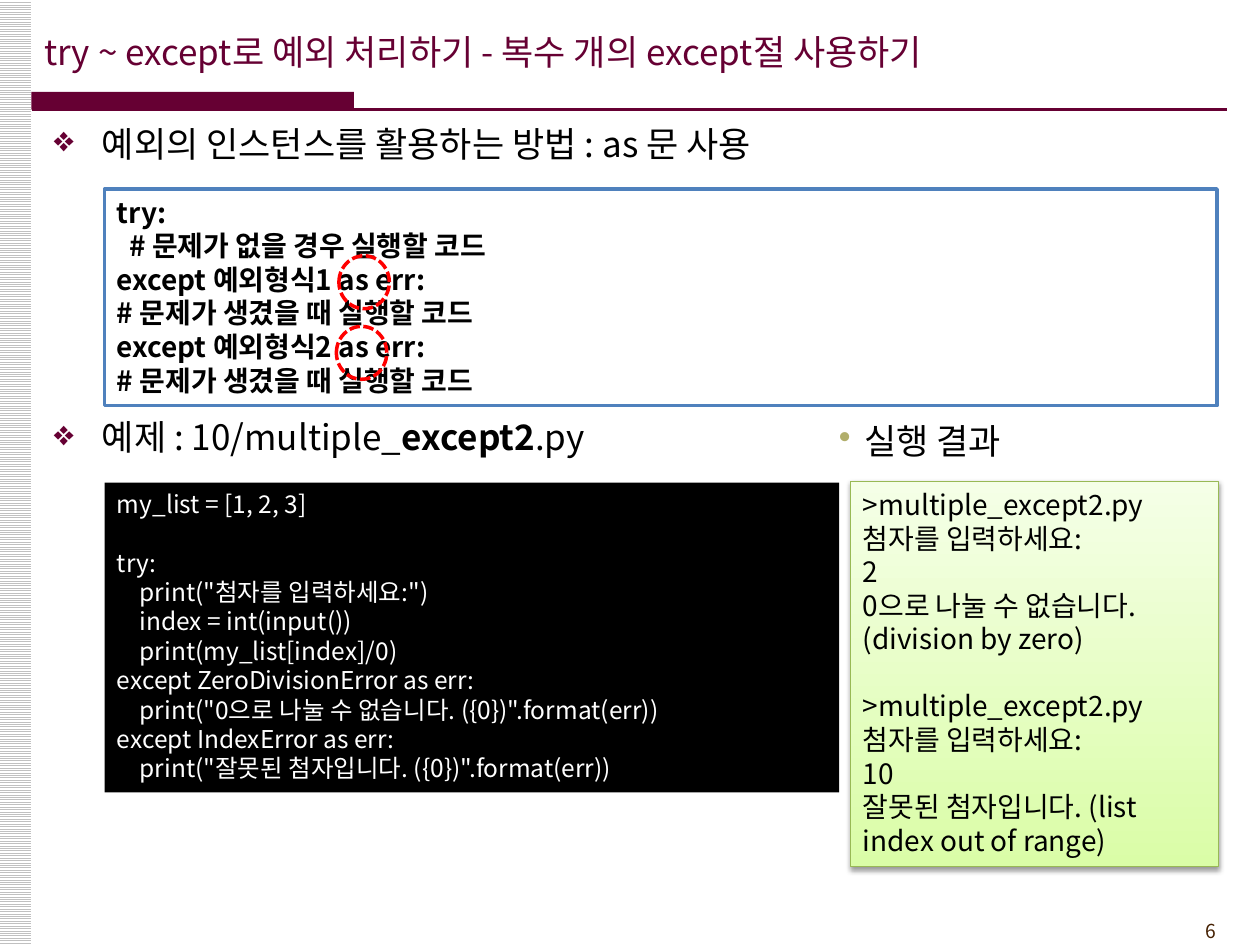
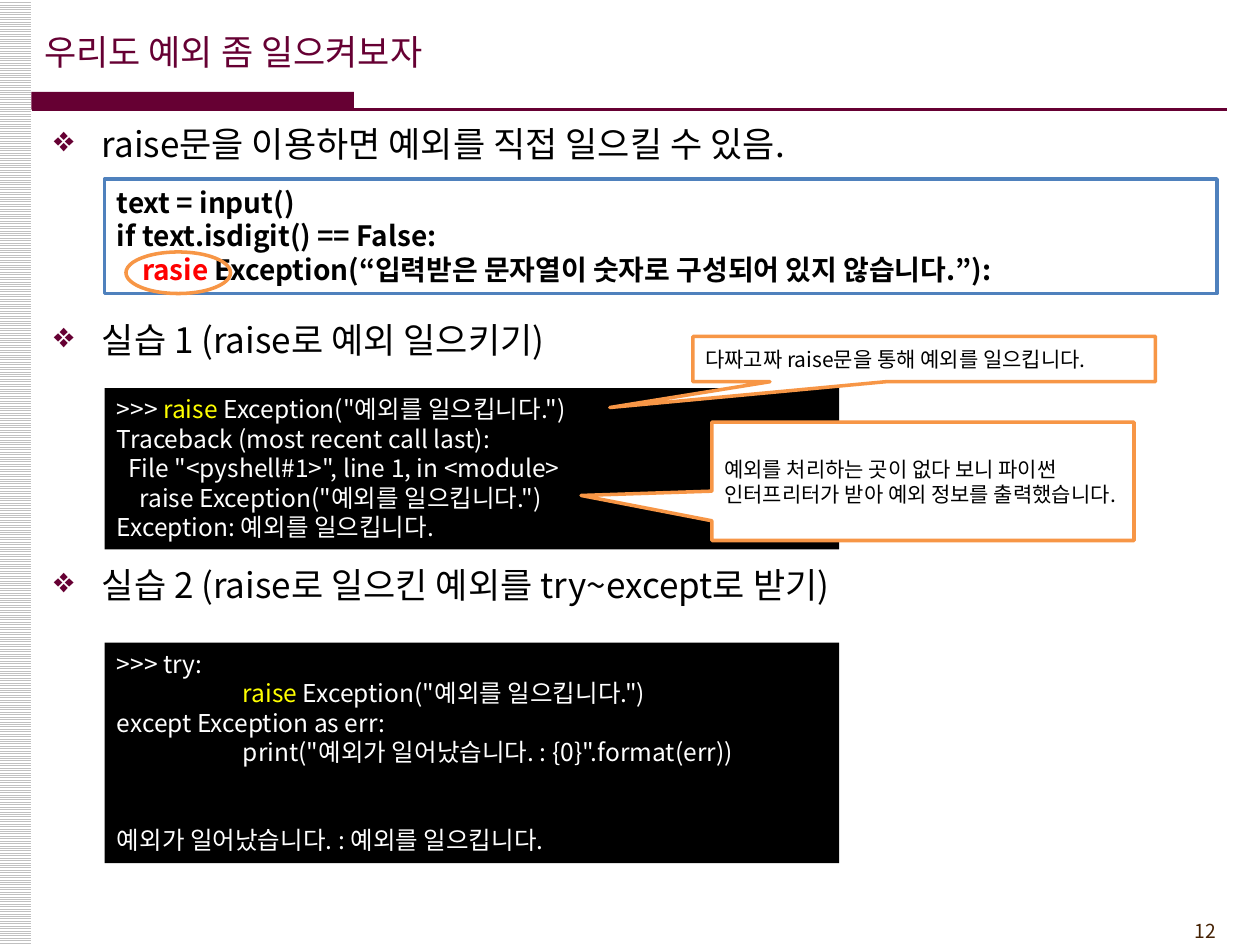
from dataclasses import dataclass
from lxml import etree
from pptx import Presentation
from pptx import util as u
from pptx.dml.color import RGBColor
from pptx.enum import dml, shapes, text
from pptx.oxml import ns


@dataclass(frozen=True)
class Theme:
    font: str = "Noto Sans CJK KR"
    accent: str = "660033"
    ink: str = "000000"
    paper: str = "FFFFFF"
    stripe: str = "C0C0C0"
    number: str = "452103"
    frame: str = "4F81BD"
    callout: str = "F79646"
    alert: str = "FF0000"
    keyword: str = "FFFF00"
    result_dark: str = "DAFDA7"
    result_light: str = "F5FFE7"
    result_edge: str = "98B955"
    result_bullet: str = "B1AE6B"
    heading_size: int = 20
    syntax_size: int = 16
    code_size: int = 14
    callout_size: int = 12
    number_size: int = 11


theme = Theme()
RECTANGLE = shapes.MSO_SHAPE.RECTANGLE
OVAL = shapes.MSO_SHAPE.OVAL
CALLOUT = shapes.MSO_SHAPE.RECTANGULAR_CALLOUT
MIDDLE = text.MSO_ANCHOR.MIDDLE


def add_box(slide, kind, at, fill=None, line=None, width=2):
    shape = slide.shapes.add_shape(kind, *map(u.Inches, at))
    shape.shadow.inherit = False
    if fill:
        shape.fill.solid()
        shape.fill.fore_color.rgb = RGBColor.from_string(fill)
    else:
        shape.fill.background()
    if line:
        shape.line.color.rgb = RGBColor.from_string(line)
        shape.line.width = u.Pt(width)
    else:
        shape.line.fill.background()
    return shape


def write(shape, lines, size, color, bold=False, anchor=text.MSO_ANCHOR.TOP,
          align=text.PP_ALIGN.LEFT, spacing=1.0, bullet=None):
    frame = shape.text_frame
    frame_format = {"word_wrap": True, "auto_size": text.MSO_AUTO_SIZE.NONE, "vertical_anchor": anchor}
    for name, value in frame_format.items():
        setattr(frame, name, value)
    for index, (indent, gap, runs) in enumerate(lines):
        paragraph = frame.add_paragraph() if index else frame.paragraphs[0]
        paragraph_format = {"alignment": align, "line_spacing": spacing,
                            "space_before": u.Pt(gap * size * 1.2)}
        for name, value in paragraph_format.items():
            setattr(paragraph, name, value)
        properties = paragraph._p.get_or_add_pPr()
        properties.set("marL", str(u.Inches(indent)))
        if bullet:
            symbol, bullet_color, hanging = bullet
            properties.set("indent", str(-u.Inches(hanging)))
            tint = etree.SubElement(properties, ns.qn("a:buClr"))
            etree.SubElement(tint, ns.qn("a:srgbClr"), val=bullet_color)
            etree.SubElement(properties, ns.qn("a:buChar"), char=symbol)
        for part in [runs] if isinstance(runs, str) else runs:
            content, changes = (part, {}) if isinstance(part, str) else part
            run = paragraph.add_run()
            run.text = content
            font_format = {"name": theme.font, "size": u.Pt(size), "bold": changes.get("bold", bold)}
            for name, value in font_format.items():
                setattr(run.font, name, value)
            run.font.color.rgb = RGBColor.from_string(changes.get("color", color))
            etree.SubElement(run._r.get_or_add_rPr(), ns.qn("a:ea"), typeface=theme.font)


presentation = Presentation()
presentation.slide_width = u.Inches(10)
presentation.slide_height = u.Inches(7.5)

pages = [
    ("try ~ except로 예외 처리하기 - 복수 개의 except절 사용하기", "6", [
        (0.92, "예외의 인스턴스를 활용하는 방법 : as 문 사용"),
        (3.25, ["예제 : 10/multiple_", ("except2", {"bold": True}), ".py"]),
    ]),
    ("우리도 예외 좀 일으켜보자", "12", [
        (0.92, "raise문을 이용하면 예외를 직접 일으킬 수 있음."),
        (2.48, "실습 1 (raise로 예외 일으키기)"),
        (4.42, "실습 2 (raise로 일으킨 예외를 try~except로 받기)"),
    ]),
]
for title_text, number, headings in pages:
    slide = presentation.slides.add_slide(presentation.slide_layouts[5])
    title = slide.shapes.title
    title_place = {"left": 0.25, "top": 0.09, "width": 8.27, "height": 0.63}
    for name, value in title_place.items():
        setattr(title, name, u.Inches(value))
    write(title, [(0, 0, title_text)], theme.heading_size, theme.accent, anchor=MIDDLE)

    stripes = add_box(slide, RECTANGLE, (-0.01, 0, 0.26, 7.5))
    stripes.fill.patterned()
    stripes.fill.pattern = dml.MSO_PATTERN.LIGHT_HORIZONTAL
    stripes.fill.fore_color.rgb = RGBColor.from_string(theme.stripe)
    stripes.fill.back_color.rgb = RGBColor.from_string(theme.paper)

    add_box(slide, RECTANGLE, (0.25, 0.73, 2.56, 0.14), theme.accent)
    rule = slide.shapes.add_connector(shapes.MSO_CONNECTOR.STRAIGHT,
                                      *map(u.Inches, (0.25, 0.87, 9.74, 0.87)))
    rule.line.color.rgb = RGBColor.from_string(theme.accent)
    rule.line.width = u.Pt(1.5)
    etree.SubElement(rule._element.spPr, ns.qn("a:effectLst"))

    number_box = slide.shapes.add_textbox(*map(u.Inches, (8.92, 7.25, 0.83, 0.29)))
    write(number_box, [(0, 0, number)], theme.number_size, theme.number, align=text.PP_ALIGN.RIGHT)

    for top, heading in headings:
        heading_box = slide.shapes.add_textbox(*map(u.Inches, (0.33, top, 9.5, 0.43)))
        write(heading_box, [(0.38, 0, heading)], theme.heading_size, theme.ink,
              bullet=("❖", theme.accent, 0.38))

multiple_except, raise_slide = presentation.slides
raise_word = ("raise", {"color": theme.keyword})

syntax_boxes = [
    (multiple_except, 1.5, 1.72, [
        (0, 0, "try:"),
        (0.1, 0, "# 문제가 없을 경우 실행할 코드"),
        (0, 0, "except 예외형식1 as err:"),
        (0, 0, "# 문제가 생겼을 때 실행할 코드"),
        (0, 0, "except 예외형식2 as err:"),
        (0, 0, "# 문제가 생겼을 때 실행할 코드"),
    ]),
    (raise_slide, 1.42, 0.91, [
        (0, 0, "text = input()"),
        (0, 0, "if text.isdigit() == False:"),
        (0.2, 0, [("rasie ", {"color": theme.alert}),
                  "Exception(“입력받은 문자열이 숫자로 구성되어 있지 않습니다.”):"]),
    ]),
]
for slide, top, height, lines in syntax_boxes:
    syntax_box = add_box(slide, RECTANGLE, (0.83, top, 8.83, height), theme.paper, theme.frame)
    write(syntax_box, lines, theme.syntax_size, theme.ink, bold=True)

code_boxes = [
    (multiple_except, 3.83, 2.46, [
        (0, 0, "my_list = [1, 2, 3]"),
        (0, 1, "try:"),
        (0.18, 0, 'print("첨자를 입력하세요:")'),
        (0.18, 0, "index = int(input())"),
        (0.18, 0, "print(my_list[index]/0)"),
        (0, 0, "except ZeroDivisionError as err:"),
        (0.18, 0, 'print("0으로 나눌 수 없습니다. ({0})".format(err))'),
        (0, 0, "except IndexError as err:"),
        (0.18, 0, 'print("잘못된 첨자입니다. ({0})".format(err))'),
    ]),
    (raise_slide, 3.08, 1.28, [
        (0, 0, [">>> ", raise_word, ' Exception("예외를 일으킵니다.")']),
        (0, 0, "Traceback (most recent call last):"),
        (0.09, 0, 'File "<pyshell#1>", line 1, in <module>'),
        (0.18, 0, 'raise Exception("예외를 일으킵니다.")'),
        (0, 0, "Exception: 예외를 일으킵니다."),
    ]),
    (raise_slide, 5.1, 1.75, [
        (0, 0, ">>> try:"),
        (1, 0, [raise_word, ' Exception("예외를 일으킵니다.")']),
        (0, 0, "except Exception as err:"),
        (1, 0, 'print("예외가 일어났습니다. : {0}".format(err))'),
        (0, 2, "예외가 일어났습니다. : 예외를 일으킵니다."),
    ]),
]
for slide, top, height, lines in code_boxes:
    code_box = add_box(slide, RECTANGLE, (0.83, top, 5.83, height), theme.ink)
    write(code_box, lines, theme.code_size, theme.paper)

result_box = add_box(multiple_except, RECTANGLE, (6.75, 3.82, 2.92, 3.06), line=theme.result_edge, width=0.75)
result_box.fill.gradient()
result_box.fill.gradient_angle = 90
for stop, color in zip(result_box.fill.gradient_stops, (theme.result_dark, theme.result_light)):
    stop.color.rgb = RGBColor.from_string(color)
effects = result_box._element.spPr.find(ns.qn("a:effectLst"))
shadow = etree.SubElement(effects, ns.qn("a:outerShdw"), blurRad=str(u.Pt(3.1)), dist=str(u.Pt(1.6)),
                          dir="5400000", rotWithShape="0")
shadow_color = etree.SubElement(shadow, ns.qn("a:srgbClr"), val=theme.ink)
etree.SubElement(shadow_color, ns.qn("a:alpha"), val="38000")
write(result_box, [
    (0, 0, ">multiple_except2.py"),
    (0, 0, "첨자를 입력하세요:"),
    (0, 0, "2"),
    (0, 0, "0으로 나눌 수 없습니다. (division by zero)"),
    (0, 1, ">multiple_except2.py"),
    (0, 0, "첨자를 입력하세요:"),
    (0, 0, "10"),
    (0, 0, "잘못된 첨자입니다. (list index out of range)"),
], theme.syntax_size, theme.ink)

result_heading = multiple_except.shapes.add_textbox(*map(u.Inches, (6.17, 3.25, 2.42, 0.39)))
write(result_heading, [(0.59, 0, "실행 결과")], theme.heading_size, theme.ink, spacing=1.1,
      bullet=("•", theme.result_bullet, 0.2))

for left, top in ((2.69, 2.03), (2.67, 2.59)):
    as_ring = add_box(multiple_except, OVAL, (left, top, 0.4, 0.42), line=theme.alert)
    as_ring.line.dash_style = dml.MSO_LINE.SQUARE_DOT

add_box(raise_slide, OVAL, (1, 2, 0.83, 0.33), line=theme.callout)
callouts = [
    ((5.65, 3.35, 3.35, 0.94), (-0.81, 0.12),
     "예외를 처리하는 곳이 없다 보니 파이썬 인터프리터가 받아 예외 정보를 출력했습니다."),
    ((5.5, 2.67, 3.67, 0.36), (-0.68, 1.07), "다짜고짜 raise문을 통해 예외를 일으킵니다."),
]
for at, tip, message in callouts:
    callout = add_box(raise_slide, CALLOUT, at, theme.paper, theme.callout)
    for index, value in enumerate(tip):
        callout.adjustments[index] = value
    write(callout, [(0, 0, message)], theme.callout_size, theme.ink, anchor=MIDDLE)

presentation.save("out.pptx")
